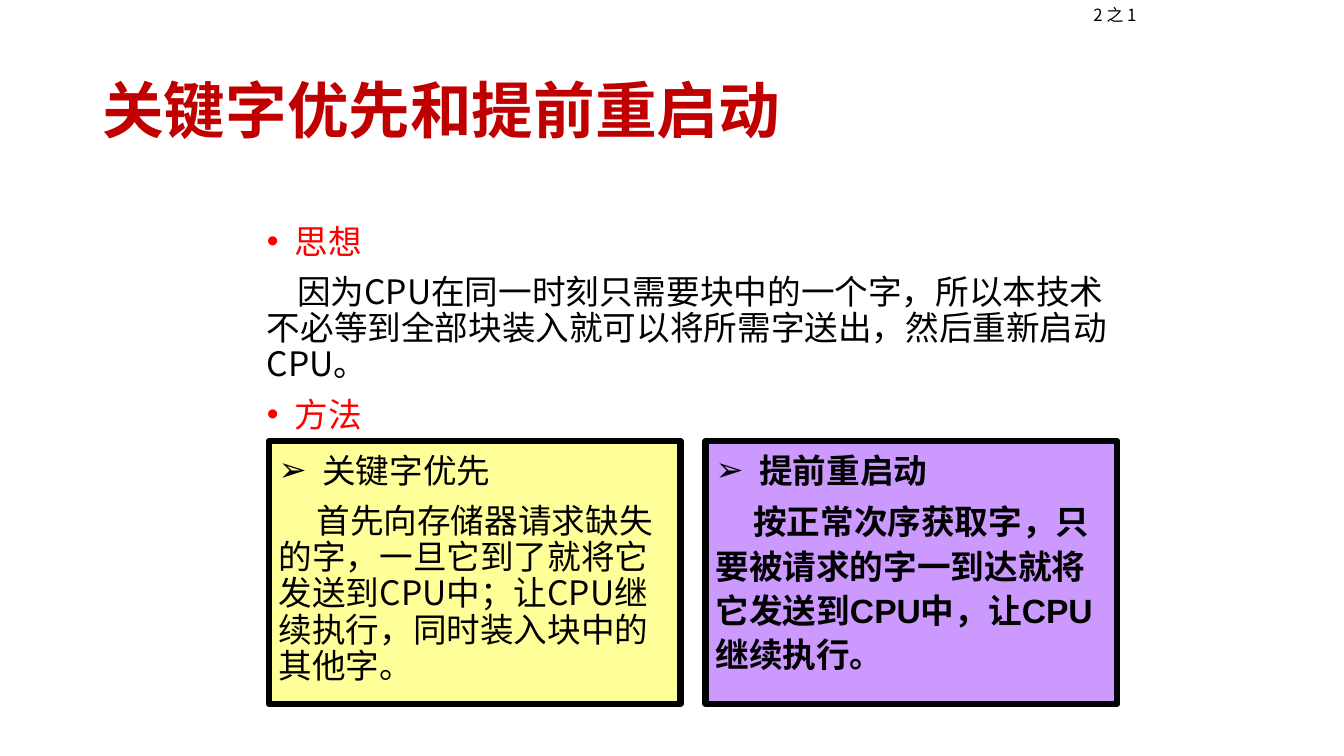
from dataclasses import dataclass

import lxml.etree
import pptx
import pptx.dml.color
import pptx.enum.shapes
import pptx.enum.text
import pptx.oxml.ns
import pptx.util

# Grid of 160 columns by 90 rows
COLUMNS, ROWS = 160, 90
SLIDE_WIDTH = pptx.util.Inches(13.33)
SLIDE_HEIGHT = pptx.util.Inches(7.5)
SANS = "Noto Sans CJK SC"
BLACK, RED, DARK_RED = "000000", "FF0000", "C00000"


@dataclass
class Line:
    text: str
    size: float = 24
    color: str = BLACK
    font: str = SANS
    bold: bool = False
    spacing: float = 0.9
    before: float = 10
    bullet: str = ""
    indent: float = 0  # columns: hanging with a bullet, otherwise first line


@dataclass
class Block:
    column: float
    row: float
    columns: float
    rows: float
    lines: list[Line]
    fill: str = ""
    middle: bool = False


def across(columns: float) -> int:
    return round(SLIDE_WIDTH * columns / COLUMNS)


def down(rows: float) -> int:
    return round(SLIDE_HEIGHT * rows / ROWS)


def rgb(color: str) -> pptx.dml.color.RGBColor:
    return pptx.dml.color.RGBColor.from_string(color)


def add_element(parent, tag: str, **attributes: str):
    return lxml.etree.SubElement(parent, pptx.oxml.ns.qn(tag), **attributes)


def write_line(paragraph, line: Line, first: bool) -> None:
    properties = paragraph._p.get_or_add_pPr()
    indent = across(line.indent)
    properties.set("marL", str(indent if line.bullet else 0))
    properties.set("indent", str(-indent if line.bullet else indent))
    if line.bullet:
        add_element(add_element(properties, "a:buClr"), "a:srgbClr", val=line.color)
        add_element(properties, "a:buFont", typeface="Arial")
        add_element(properties, "a:buChar", char=line.bullet)
    paragraph.alignment = pptx.enum.text.PP_ALIGN.LEFT
    paragraph.line_spacing = line.spacing
    paragraph.space_before = pptx.util.Pt(0 if first else line.before)

    run = paragraph.add_run()
    run.text = line.text
    run.font.size = pptx.util.Pt(line.size)
    run.font.bold = line.bold
    run.font.color.rgb = rgb(line.color)
    run.font.name = line.font
    add_element(run._r.get_or_add_rPr(), "a:ea", typeface=SANS)


def draw_block(slide, block: Block) -> None:
    box = (across(block.column), down(block.row), across(block.columns), down(block.rows))
    if block.fill:
        shape = slide.shapes.add_shape(pptx.enum.shapes.MSO_SHAPE.RECTANGLE, *box)
        shape.shadow.inherit = False
        shape.fill.solid()
        shape.fill.fore_color.rgb = rgb(block.fill)
        shape.line.color.rgb = rgb(BLACK)
        shape.line.width = pptx.util.Pt(4.5)
    else:
        shape = slide.shapes.add_textbox(*box)
    frame = shape.text_frame
    frame.word_wrap = True
    anchor = pptx.enum.text.MSO_ANCHOR
    frame.vertical_anchor = anchor.MIDDLE if block.middle else anchor.TOP
    for index, line in enumerate(block.lines):
        paragraph = frame.add_paragraph() if index else frame.paragraphs[0]
        write_line(paragraph, line, index == 0)


def topic(text: str) -> Line:
    return Line(text, color=RED, bullet="•", indent=3.3)


# Title, idea and page mark
TITLE = Block(11, 4.8, 138, 17.4,
              [Line("关键字优先和提前重启动", size=44, color=DARK_RED, bold=True)], middle=True)
IDEA = Block(30.6, 26.2, 105.4, 26.4, [
    topic("思想"),
    Line("因为CPU在同一时刻只需要块中的一个字，所以本技术不必等到全部块装入就可以将所需字送出，"
         "然后重新启动CPU。", indent=3.6),
    topic("方法"),
])
PAGE_MARK = Block(129, 0, 11, 3.7, [Line("2 之 1", size=12, spacing=1)])

# The two methods, side by side
METHODS = [
    ("FFFF99", [
        Line("关键字优先", spacing=1.1, bullet="➢", indent=5.2),
        Line("首先向存储器请求缺失的字，一旦它到了就将它发送到CPU中；让CPU继续执行，"
             "同时装入块中的其他字。", indent=4.5),
    ]),
    ("CC99FF", [
        Line("提前重启动", font="Arial", bold=True, spacing=1.1, bullet="➢", indent=5.2),
        Line("按正常次序获取字，只要被请求的字一到达就将它发送到CPU中，让CPU继续执行。",
             font="Arial", bold=True, spacing=1.1, before=5, indent=4.5),
    ]),
]
METHOD_LEFT, METHOD_TOP, METHOD_WIDTH, METHOD_HEIGHT, METHOD_PITCH = 32, 52.5, 49, 31.3, 52


def main() -> None:
    presentation = pptx.Presentation()
    presentation.slide_width = SLIDE_WIDTH
    presentation.slide_height = SLIDE_HEIGHT
    slide = presentation.slides.add_slide(presentation.slide_layouts[6])
    methods = [
        Block(METHOD_LEFT + index * METHOD_PITCH, METHOD_TOP, METHOD_WIDTH, METHOD_HEIGHT,
              lines, fill)
        for index, (fill, lines) in enumerate(METHODS)
    ]
    for block in [TITLE, IDEA, *methods, PAGE_MARK]:
        draw_block(slide, block)
    presentation.save("out.pptx")


if __name__ == "__main__":
    main()
